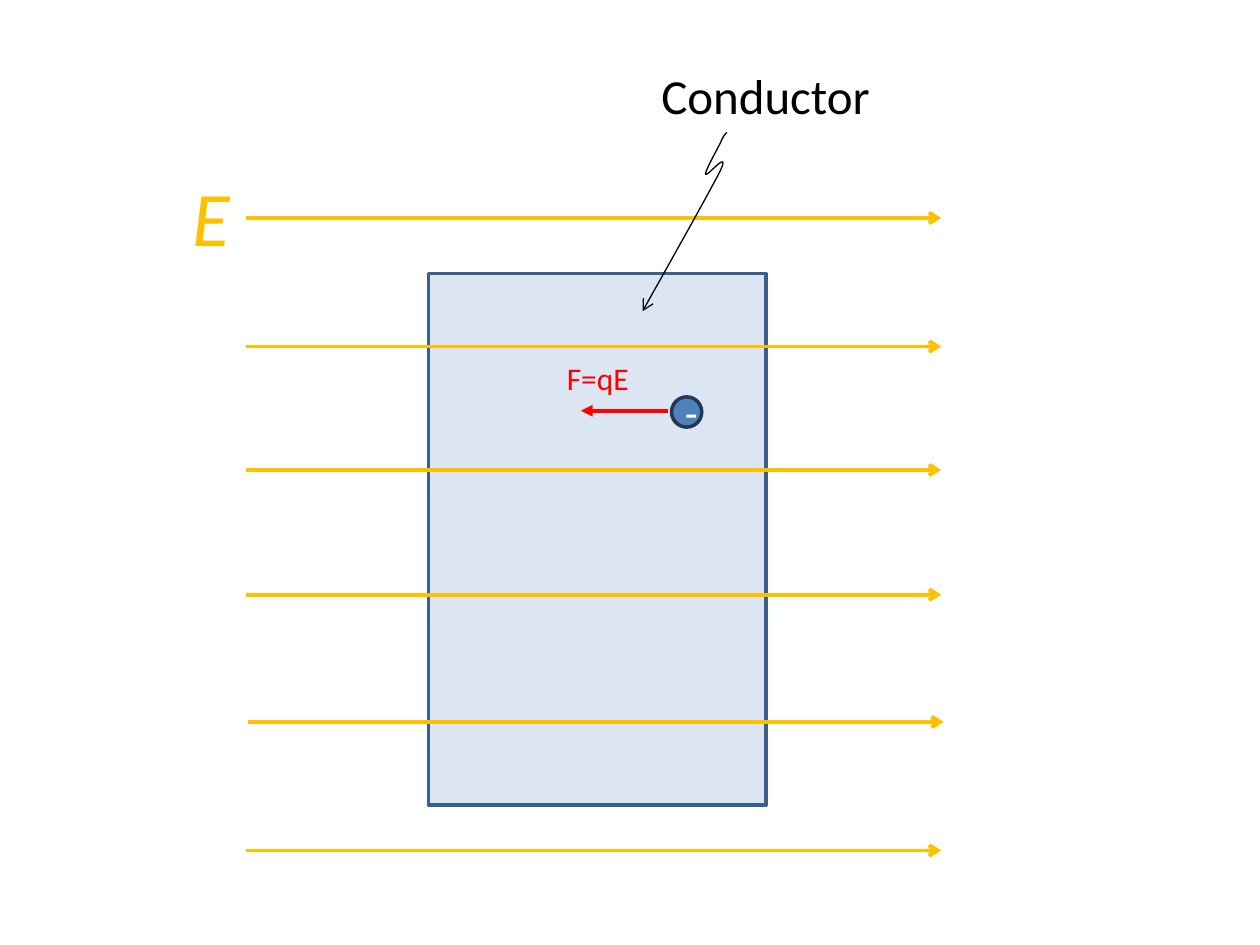
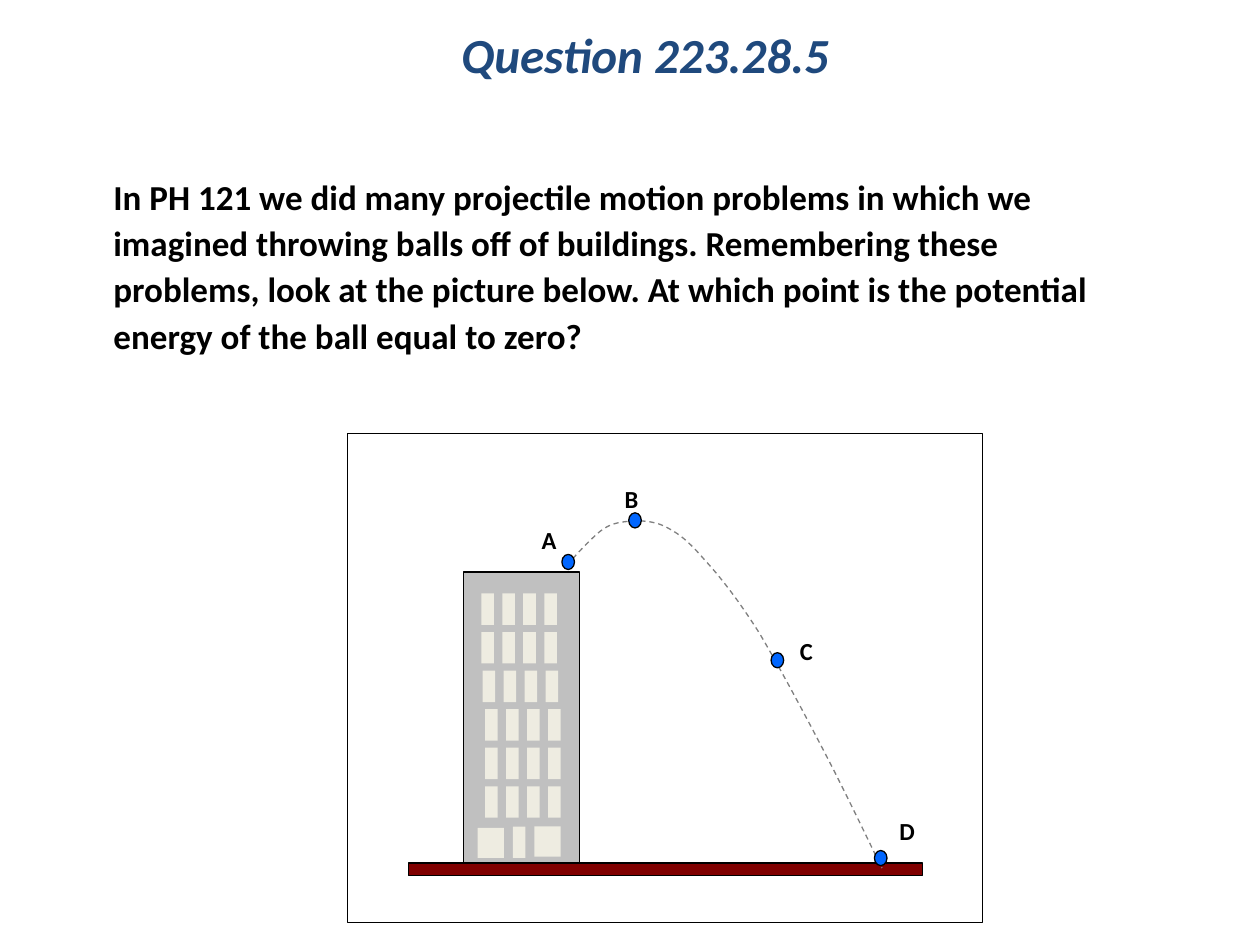
from lxml import etree
from pptx import Presentation
from pptx.dml.color import RGBColor
from pptx.enum import dml, shapes, text
from pptx.oxml import ns
from pptx.util import Inches, Pt

FONT = "Calibri"
BLACK = RGBColor(0x00, 0x00, 0x00)
WHITE = RGBColor(0xFF, 0xFF, 0xFF)
NAVY = RGBColor(0x1F, 0x49, 0x7D)
FIELD_GOLD = RGBColor(0xFF, 0xC0, 0x00)
FORCE_RED = RGBColor(0xFF, 0x00, 0x00)
CONDUCTOR_FILL = RGBColor(0xDC, 0xE6, 0xF2)
CONDUCTOR_EDGE = RGBColor(0x3A, 0x5F, 0x8C)
CHARGE_FILL = RGBColor(0x4F, 0x81, 0xBD)
CHARGE_EDGE = RGBColor(0x23, 0x39, 0x53)
WALL_GRAY = RGBColor(0xC0, 0xC0, 0xC0)
PATH_GRAY = RGBColor(0x80, 0x80, 0x80)
WINDOW_CREAM = RGBColor(0xEE, 0xEC, 0xE1)
GROUND_BROWN = RGBColor(0x80, 0x00, 0x00)
BALL_BLUE = RGBColor(0x00, 0x66, 0xFF)

RECTANGLE = shapes.MSO_SHAPE.RECTANGLE
OVAL = shapes.MSO_SHAPE.OVAL


def write_text(frame, content, size=14, color=BLACK, bold=False, italic=False,
               align=text.PP_ALIGN.LEFT, anchor=text.MSO_ANCHOR.TOP,
               line_spacing=1.0, wrap=True):
    frame.word_wrap = wrap
    frame.vertical_anchor = anchor
    paragraph = frame.paragraphs[0]
    paragraph.alignment = align
    paragraph.line_spacing = line_spacing
    paragraph.space_before = Pt(0)
    run = paragraph.add_run()
    run.text = content
    font = run.font
    font.name, font.size, font.bold, font.italic = FONT, Pt(size), bold, italic
    font.color.rgb = color
    return paragraph


def curve_points(start, segments, steps=12):
    """Points along a chain of cubic curves, each (control, control, end)."""
    points = [start]
    for first, second, end in segments:
        for step in range(1, steps + 1):
            t = step / steps
            weights = ((1 - t) ** 3, 3 * t * (1 - t) ** 2, 3 * t * t * (1 - t), t ** 3)
            corners = (start, first, second, end)
            points.append(tuple(sum(w * c[axis] for w, c in zip(weights, corners))
                                for axis in (0, 1)))
        start = end
    return points


class SlideBuilder:
    def __init__(self, presentation):
        self.presentation = presentation
        self.slide = None

    def new_slide(self, layout):
        self.slide = self.presentation.slides.add_slide(
            self.presentation.slide_layouts[layout])

    def place(self, placeholder, left, top, width, height):
        placeholder.left, placeholder.top = Inches(left), Inches(top)
        placeholder.width, placeholder.height = Inches(width), Inches(height)
        placeholder.text_frame.auto_size = text.MSO_AUTO_SIZE.NONE
        return placeholder.text_frame

    def title(self, content, *box):
        frame = self.place(self.slide.shapes.title, *box)
        write_text(frame, content, size=28, color=NAVY, bold=True, italic=True,
                   align=text.PP_ALIGN.CENTER, anchor=text.MSO_ANCHOR.MIDDLE,
                   line_spacing=0.9)

    def body(self, content, *box):
        frame = self.place(self.slide.placeholders[1], *box)
        paragraph = write_text(frame, content, size=20, bold=True, line_spacing=1.1)
        properties = paragraph._p.get_or_add_pPr()
        properties.set("marL", str(Inches(0.44)))
        properties.set("indent", "0")
        etree.SubElement(properties, ns.qn("a:buNone"))

    def label(self, content, left, top, width, height, **style):
        box = self.slide.shapes.add_textbox(
            Inches(left), Inches(top), Inches(width), Inches(height))
        write_text(box.text_frame, content, wrap=False, **style)

    def shape(self, kind, left, top, width, height, fill, edge=None, weight=0.75):
        shape = self.slide.shapes.add_shape(
            kind, Inches(left), Inches(top), Inches(width), Inches(height))
        shape.shadow.inherit = False
        shape.fill.solid()
        shape.fill.fore_color.rgb = fill
        if edge is None:
            shape.line.fill.background()
        else:
            self.stroke(shape.line, edge, weight)
        return shape

    def stroke(self, line, color, weight, arrowhead=None):
        line.color.rgb = color
        line.width = Pt(weight)
        if arrowhead:
            etree.SubElement(line._get_or_add_ln(), ns.qn("a:tailEnd"), type=arrowhead)

    def arrow(self, x1, y1, x2, y2, color, arrowhead):
        connector = self.slide.shapes.add_connector(
            shapes.MSO_CONNECTOR.STRAIGHT, Inches(x1), Inches(y1), Inches(x2), Inches(y2))
        self.stroke(connector.line, color, 2.25, arrowhead)
        etree.SubElement(connector._element.spPr, ns.qn("a:effectLst"))

    def curve(self, start, segments, color, arrowhead=None, dashed=False):
        points = [(Inches(x), Inches(y)) for x, y in curve_points(start, segments)]
        builder = self.slide.shapes.build_freeform(*points[0])
        builder.add_line_segments(points[1:], close=False)
        shape = builder.convert_to_shape()
        shape.shadow.inherit = False
        shape.fill.background()
        if dashed:
            shape.line.dash_style = dml.MSO_LINE.DASH
        self.stroke(shape.line, color, 0.75, arrowhead)


def conductor_slide(builder):
    builder.new_slide(6)
    builder.shape(RECTANGLE, 3.4, 2.17, 2.68, 4.22, CONDUCTOR_FILL, CONDUCTOR_EDGE, 2)
    builder.label("Conductor", 5.15, 0.47, 1.88, 0.57, size=28)

    # Electric field
    for y in (1.73, 2.75, 3.73, 4.72, 5.73, 6.75):
        left = 1.97 if y == 5.73 else 1.95
        builder.arrow(left, y, left + 5.52, y, FIELD_GOLD, "arrow")
    builder.label("E", 1.43, 1.3, 0.5, 0.84, size=44, color=FIELD_GOLD, italic=True)

    # Pointer from the label to the conductor
    builder.curve((5.77, 1.05), [
        ((5.76, 1.06), (5.74, 1.08), (5.72, 1.13)),
        ((5.69, 1.19), (5.6, 1.35), (5.6, 1.38)),
        ((5.6, 1.42), (5.8, 1.17), (5.72, 1.35)),
        ((5.63, 1.53), (5.1, 2.47), (5.1, 2.47)),
    ], BLACK, arrowhead="arrow")

    # Charge and the force on it
    charge = builder.shape(OVAL, 5.33, 3.15, 0.24, 0.24, CHARGE_FILL, CHARGE_EDGE, 2)
    write_text(charge.text_frame, "-", size=24, color=WHITE,
               align=text.PP_ALIGN.CENTER, anchor=text.MSO_ANCHOR.MIDDLE)
    builder.arrow(5.3, 3.26, 4.61, 3.26, FORCE_RED, "triangle")
    builder.label("F=qE", 4.4, 2.8, 0.7, 0.4, size=18, color=FORCE_RED)


def projectile_slide(builder):
    builder.new_slide(1)
    builder.title("Question 223.28.5", 0.72, 0, 8.8, 0.92)
    builder.body(
        "In PH 121 we did many projectile motion problems in which we imagined "
        "throwing balls off of buildings. Remembering these problems, look at the "
        "picture below. At which point is the potential energy of the ball equal "
        "to zero?", 0.36, 1.31, 8.83, 1.78)

    # Frame and building
    builder.shape(RECTANGLE, 2.76, 3.44, 5.04, 3.88, WHITE, BLACK)
    builder.shape(RECTANGLE, 3.68, 4.54, 0.92, 2.32, WALL_GRAY, BLACK)
    for row, left in enumerate((3.82, 3.82, 3.83, 3.85, 3.85, 3.85)):
        for column in range(4):
            builder.shape(RECTANGLE, left + column * 0.5 / 3, 4.71 + row * 1.53 / 5,
                          0.1, 0.25, WINDOW_CREAM)

    # Door, shop windows and ground
    builder.shape(RECTANGLE, 4.07, 6.56, 0.1, 0.25, WINDOW_CREAM)
    for left, top in ((4.24, 6.56), (3.79, 6.57)):
        builder.shape(RECTANGLE, left, top, 0.21, 0.24, WINDOW_CREAM)
    builder.shape(RECTANGLE, 3.24, 6.85, 4.08, 0.1, GROUND_BROWN, BLACK)

    # Flight of the ball
    builder.curve((4.5, 4.49), [
        ((4.59, 4.38), (4.69, 4.28), (4.76, 4.22)),
        ((4.84, 4.16), (4.89, 4.15), (4.97, 4.14)),
        ((5.06, 4.13), (5.18, 4.13), (5.28, 4.18)),
        ((5.38, 4.23), (5.46, 4.29), (5.58, 4.43)),
        ((5.71, 4.57), (5.86, 4.76), (6.03, 5.03)),
        ((6.19, 5.3), (6.42, 5.73), (6.58, 6.04)),
        ((6.74, 6.35), (6.93, 6.75), (7, 6.89)),
    ], PATH_GRAY, dashed=True)

    # Marked points: name, ball corner, label corner
    for name, ball, label in (("A", (4.46, 4.4), (4.2, 4.12)),
                              ("B", (4.99, 4.07), (4.86, 3.79)),
                              ("C", (6.12, 5.18), (6.25, 5)),
                              ("D", (6.94, 6.75), (7.04, 6.43))):
        builder.shape(OVAL, *ball, 0.1, 0.12, BALL_BLUE, BLACK)
        builder.label(name, *label, 0.34, 0.33, bold=True)


def main():
    presentation = Presentation()
    presentation.slide_width, presentation.slide_height = Inches(10), Inches(7.5)
    builder = SlideBuilder(presentation)
    conductor_slide(builder)
    projectile_slide(builder)
    presentation.save("out.pptx")


if __name__ == "__main__":
    main()
